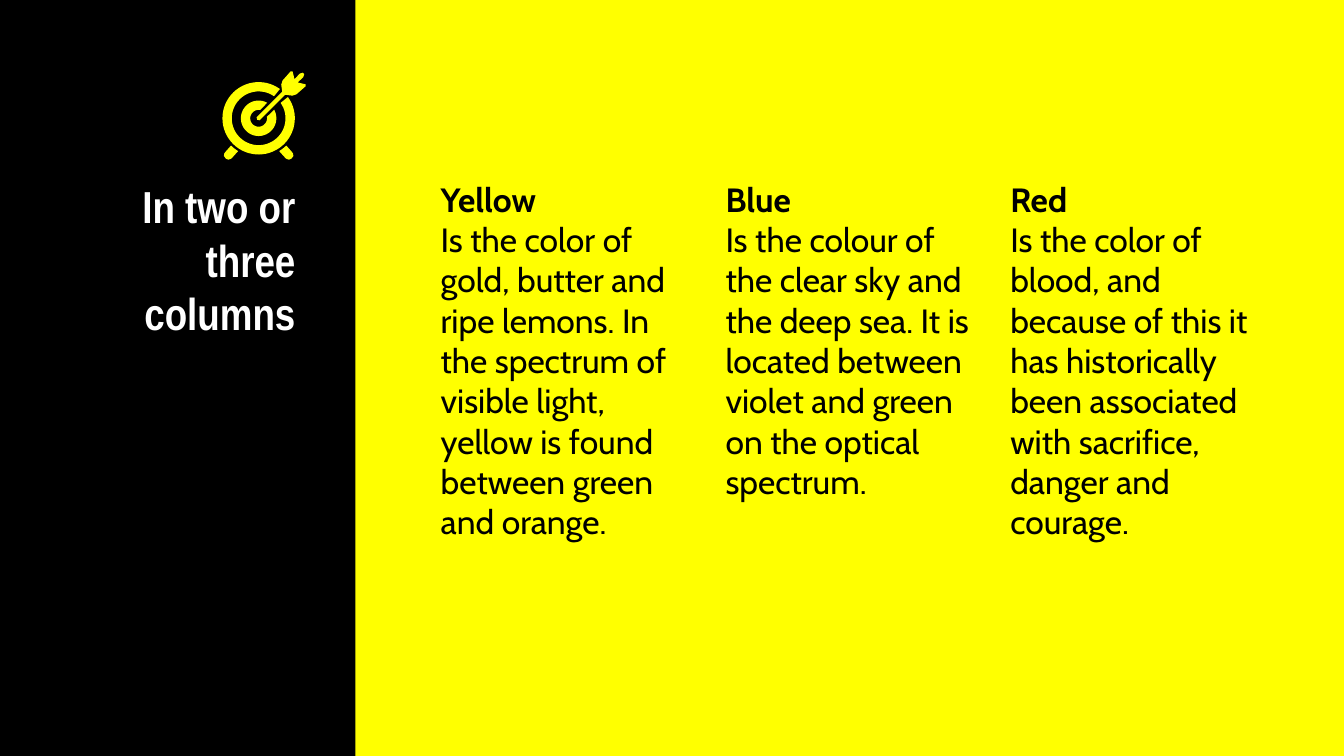
from dataclasses import dataclass
from math import cos, radians, sin

from pptx import Presentation
from pptx.dml.color import RGBColor as Rgb
from pptx.enum.shapes import MSO_SHAPE as Form
from pptx.enum.text import MSO_ANCHOR as Anchor, MSO_AUTO_SIZE as Fit, PP_ALIGN as Align
from pptx.util import Pt


@dataclass(frozen=True)
class Theme:
    dark: Rgb = Rgb(0, 0, 0)
    light: Rgb = Rgb(255, 255, 255)
    bright: Rgb = Rgb(255, 255, 0)
    head: str = "Arial Narrow"
    body: str = "Cabin"
    big: int = 24
    text: int = 18
    inset: float = 7.2


class Deck:
    def __init__(self, theme, wide, high):
        self.theme = theme
        self.file = Presentation()
        self.file.slide_width, self.file.slide_height = Pt(wide), Pt(high)
        self.slide = self.file.slides.add_slide(self.file.slide_layouts[5])
        fill = self.slide.background.fill
        fill.solid()
        fill.fore_color.rgb = theme.bright

    def paint(self, shape, color):
        shape.shadow.inherit = False
        shape.fill.solid()
        shape.fill.fore_color.rgb = color
        shape.line.fill.background()

    def panel(self, x, y, w, h):
        """Add a dark block behind the title."""
        shape = self.slide.shapes.add_shape(Form.RECTANGLE, Pt(x), Pt(y), Pt(w), Pt(h))
        self.paint(shape, self.theme.dark)
        self.slide.shapes.title.element.addprevious(shape.element)

    def frame(self, shape):
        """Give a text shape its margins, wrap and top anchor."""
        area = shape.text_frame
        area.word_wrap = True
        area.auto_size = Fit.NONE
        area.vertical_anchor = Anchor.TOP
        area.margin_left = area.margin_right = Pt(self.theme.inset)
        area.margin_top = area.margin_bottom = Pt(self.theme.inset)
        return area

    def style(self, para, face, size, color, bold, align):
        font = para.font
        font.name, font.size, font.bold = face, Pt(size), bold
        font.color.rgb = color
        para.alignment = align

    def title(self, text, x, y, w, h):
        shape = self.slide.shapes.title
        shape.left, shape.top, shape.width, shape.height = Pt(x), Pt(y), Pt(w), Pt(h)
        para = self.frame(shape).paragraphs[0]
        para.text = text
        self.style(para, self.theme.head, self.theme.big, self.theme.light, True, Align.RIGHT)

    def column(self, name, text, x, y, w, h):
        area = self.frame(self.slide.shapes.add_textbox(Pt(x), Pt(y), Pt(w), Pt(h)))
        area.text = f"{name}\n{text}"
        for para, bold in zip(area.paragraphs, (True, False)):
            self.style(para, self.theme.body, self.theme.text, self.theme.dark, bold, Align.LEFT)

    def icon(self, outlines, x, y):
        """Group filled outlines whose points are measured from (x, y)."""
        group = self.slide.shapes.add_group_shape()
        for dots in outlines:
            first, *rest = [(Pt(x + dx), Pt(y + dy)) for dx, dy in dots]
            pen = group.shapes.build_freeform(*first, scale=1.0)
            pen.add_line_segments(rest, close=True)
            self.paint(pen.convert_to_shape(), self.theme.bright)


def arc(radius, gap, steps=60):
    """Points round a circle, open by gap degrees either side of the upper right."""
    span = 360 - 2 * gap
    turns = [radians(gap - 45 + span * i / steps) for i in range(steps + 1)]
    return [(radius * cos(t), radius * sin(t)) for t in turns]


def ring(outer, inner, gap, mouth):
    return arc(outer, gap) + arc(inner, mouth)[::-1]


def target():
    foot = [(14.8, 14.6), (13, 16.2), (11, 17.6), (14.6, 21.6), (16.2, 22.2),
            (17.6, 21.6), (18.6, 20.2), (18.4, 18.8), (17.6, 17.8)]
    edge = [(-0.8, 0.8), (-1.1, -0.5), (12.6, -14.2), (12.1, -18), (12.8, -20.2),
            (17.1, -25.1), (18.2, -25.1), (19.2, -20.9), (22, -23.9), (23.6, -24.4)]
    dart = edge + [(-y, -x) for x, y in reversed(edge)]
    return [ring(19.4, 14.4, 9, 10), ring(9.5, 4.5, 16, 35),
            [(-x, y) for x, y in foot], foot, dart]


COLUMNS = [
    ("Yellow", "Is the color of gold, butter and ripe lemons. In the spectrum of "
               "visible light, yellow is found between green and orange."),
    ("Blue", "Is the colour of the clear sky and the deep sea. It is located "
             "between violet and green on the optical spectrum."),
    ("Red", "Is the color of blood, and because of this it has historically "
            "been associated with sacrifice, danger and courage."),
]


def main():
    wide, high, top = 720, 405, 88.5
    left, width, step = 229, 145.4, 152.6
    deck = Deck(Theme(), wide, high)
    deck.panel(0, 0, 190.5, high)
    deck.title("In two or three columns", 31.5, top, 134, 116.6)
    for i, (name, text) in enumerate(COLUMNS):
        deck.column(name, text, left + i * step, top, width, 299)
    deck.icon(target(), 138.6, 63.4)
    deck.file.save("out.pptx")


if __name__ == "__main__":
    main()
